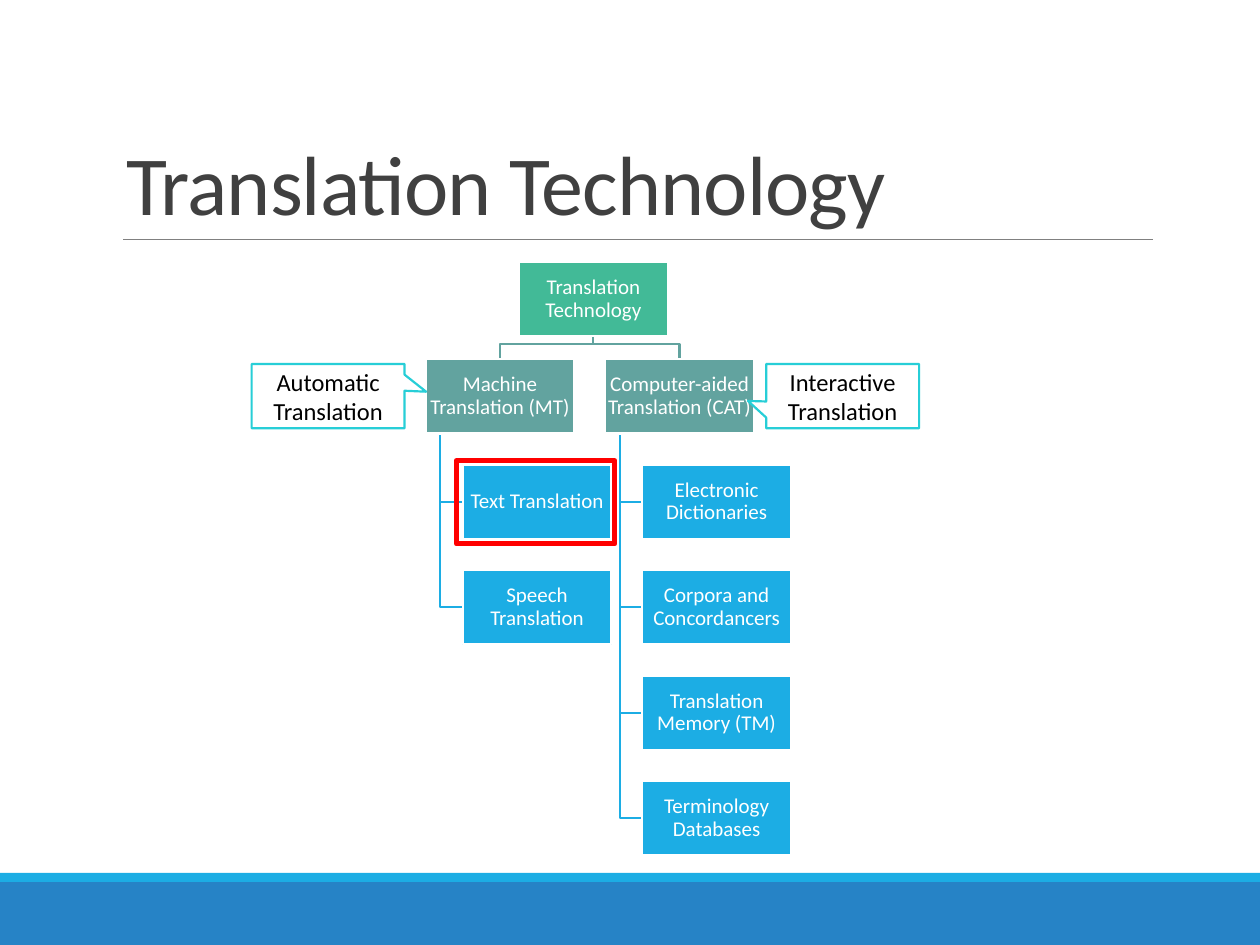
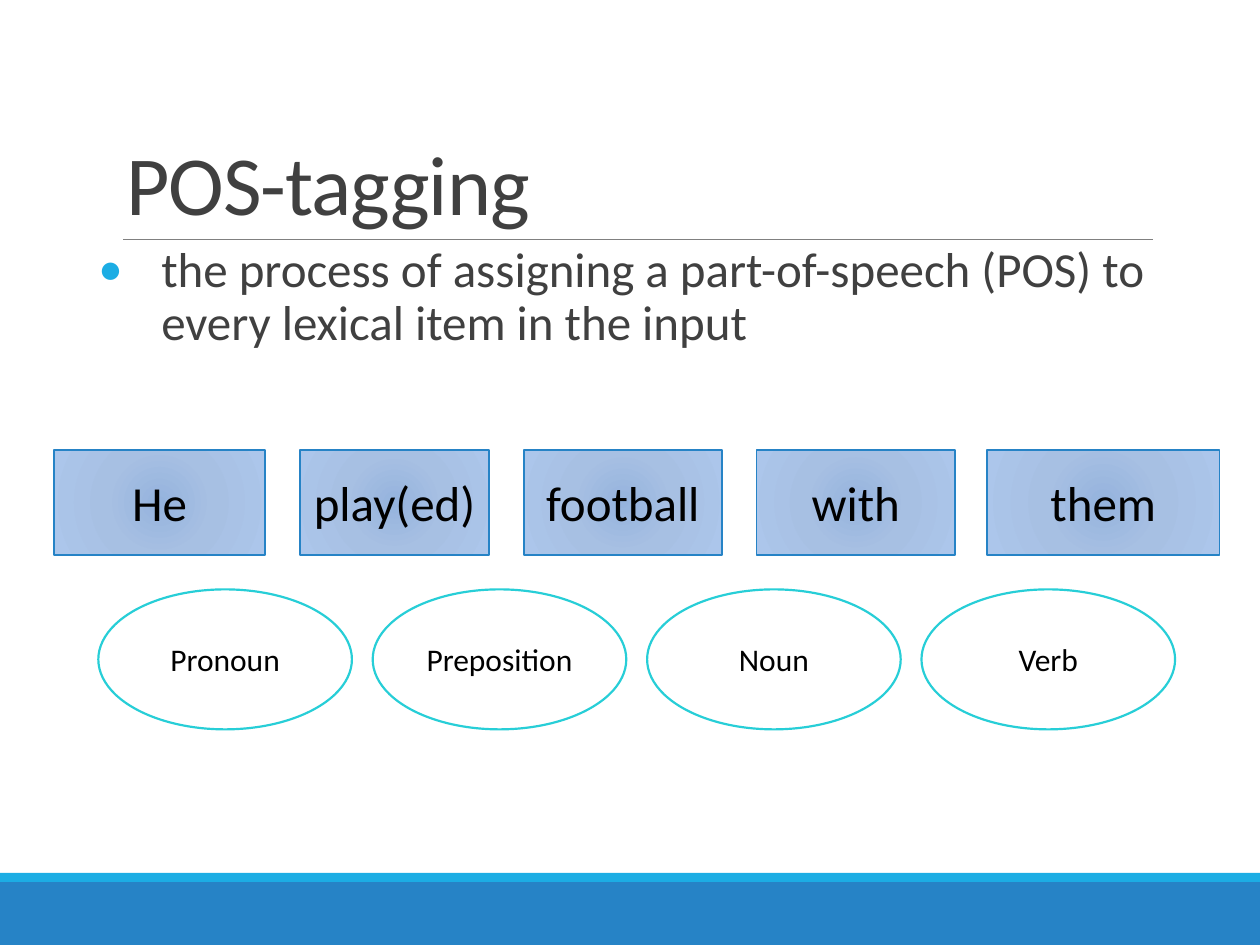
from lxml.etree import SubElement
from pptx import Presentation
from pptx.dml.color import RGBColor
from pptx.enum.shapes import MSO_CONNECTOR as Connector, MSO_SHAPE as Preset
from pptx.enum.text import MSO_ANCHOR as Anchor, MSO_AUTO_SIZE as AutoSize, PP_ALIGN as Align
from pptx.oxml import parse_xml
from pptx.oxml.ns import nsdecls, qn
from pptx.util import Pt

WHITE = RGBColor(0xFF, 0xFF, 0xFF)
BLACK = RGBColor(0x00, 0x00, 0x00)
DARK = RGBColor(0x40, 0x40, 0x40)
GRAY = RGBColor(0x80, 0x80, 0x80)
BLUE = RGBColor(0x26, 0x83, 0xC6)
SKY = RGBColor(0x1C, 0xAD, 0xE4)
CYAN = RGBColor(0x27, 0xCE, 0xD7)
GREEN = RGBColor(0x42, 0xBA, 0x97)
TEAL = RGBColor(0x62, 0xA3, 0x9F)
RED = RGBColor(0xFF, 0x00, 0x00)
WORD_GRADIENT = (
    (0, RGBColor(0x95, 0xB3, 0xDD)),
    (45, RGBColor(0xA7, 0xC0, 0xE3)),
    (100, RGBColor(0xAC, 0xC6, 0xEB)),
)

FONT = "Calibri"
SLIDE_WIDTH, SLIDE_HEIGHT = 720, 540
TITLE_ONLY = 5

NODE_WIDTH, NODE_HEIGHT = 85, 42.4
ROOT_LEFT, ROOT_TOP = 296.6, 149.8
BRANCH_TOP, ROW_PITCH = 205.3, 60.25
LEAF_INDENT, TRUNK_INDENT = 21.2, 8.4
BRANCHES = (
    (243.2, "Machine Translation (MT)", ("Text Translation", "Speech Translation")),
    (345.8, "Computer-aided Translation (CAT)",
     ("Electronic Dictionaries", "Corpora and Concordancers",
      "Translation Memory (TM)", "Terminology Databases")),
)
CALLOUTS = (
    (143.8, "Automatic Translation", (0.641, -0.069)),
    (437.8, "Interactive Translation", (-0.619, 0.076)),
)
WORDS = (
    ("He", 30.8, 120.6),
    ("play(ed)", 171.3, 108.2),
    ("football", 299.3, 113.2),
    ("with", 432.3, 113.4),
    ("them", 564, 132.8),
)
TAGS = ("Pronoun", "Preposition", "Noun", "Verb")
TAG_LEFT, TAG_PITCH = 56.2, 156.8


def style_text(frame, text, size, color, align=Align.CENTER, spacing=None):
    """Write one paragraph into a frame and format it."""
    frame.text = text
    frame.word_wrap = True
    para = frame.paragraphs[0]
    para.alignment = align
    para.line_spacing = spacing
    font = para.runs[0].font
    font.name, font.size, font.color.rgb = FONT, Pt(size), color
    return para


def add_box(page, preset, left, top, width, height, fill=None, line=None, weight=1.25):
    """Add a preset shape with a flat fill and outline and no shadow."""
    box = page.shapes.add_shape(preset, Pt(left), Pt(top), Pt(width), Pt(height))
    box.shadow.inherit = False
    if fill is None:
        box.fill.background()
    else:
        box.fill.solid()
        box.fill.fore_color.rgb = fill
    if line is None:
        box.line.fill.background()
    else:
        box.line.color.rgb = line
        box.line.width = Pt(weight)
    return box


def label(box, text, size, color=BLACK):
    """Centre a text in a shape."""
    box.text_frame.vertical_anchor = Anchor.MIDDLE
    return style_text(box.text_frame, text, size, color)


def add_page(deck, title_text):
    """Add a slide with the shared title, rule and bottom bands."""
    page = deck.slides.add_slide(deck.slide_layouts[TITLE_ONLY])
    add_box(page, Preset.RECTANGLE, 0, 504, SLIDE_WIDTH, 36, BLUE)
    add_box(page, Preset.RECTANGLE, 0, 498.8, SLIDE_WIDTH, 5.2, SKY)
    rule = page.shapes.add_connector(
        Connector.STRAIGHT, Pt(70.4), Pt(136.8), Pt(658.8), Pt(136.8))
    rule.line.color.rgb = GRAY
    rule.line.width = Pt(0.5)
    SubElement(rule._element.spPr, qn("a:effectLst"))

    title = page.shapes.title
    title.left, title.top, title.width, title.height = Pt(64.8), Pt(22.3), Pt(594), Pt(114.5)
    title.text_frame.auto_size = AutoSize.NONE
    title.text_frame.vertical_anchor = Anchor.BOTTOM
    para = style_text(title.text_frame, title_text, 48, DARK, Align.LEFT, 0.85)
    para.runs[0]._r.get_or_add_rPr().set("spc", "-50")
    return page


def add_branch_line(page, points, color):
    """Draw an open angled line through the points."""
    corners = [(Pt(x), Pt(y)) for x, y in points]
    builder = page.shapes.build_freeform(*corners[0])
    builder.add_line_segments(corners[1:], close=False)
    line = builder.convert_to_shape()
    line.shadow.inherit = False
    line.fill.background()
    line.line.color.rgb = color
    line.line.width = Pt(1.25)


def add_node(page, left, top, text, fill):
    """Add one box of the tree."""
    node = add_box(page, Preset.RECTANGLE, left, top, NODE_WIDTH, NODE_HEIGHT, fill, WHITE)
    frame = node.text_frame
    frame.margin_left = frame.margin_right = frame.margin_top = frame.margin_bottom = Pt(0.7)
    label(node, text, 12, WHITE).line_spacing = 0.9


def add_tree(page):
    """Draw the tree: its lines first, then its boxes."""
    root_middle, root_bottom = ROOT_LEFT + NODE_WIDTH / 2, ROOT_TOP + NODE_HEIGHT
    fork_top = BRANCH_TOP - 8.6
    nodes = [(ROOT_LEFT, ROOT_TOP, "Translation Technology", GREEN)]
    for left, name, leaves in BRANCHES:
        middle, trunk = left + NODE_WIDTH / 2, left + TRUNK_INDENT
        add_branch_line(page, ((root_middle, root_bottom), (root_middle, fork_top),
                               (middle, fork_top), (middle, BRANCH_TOP)), TEAL)
        nodes.append((left, BRANCH_TOP, name, TEAL))
        for row, leaf in enumerate(leaves, 1):
            top = BRANCH_TOP + row * ROW_PITCH
            leaf_left, leaf_middle = left + LEAF_INDENT, top + NODE_HEIGHT / 2
            add_branch_line(page, ((trunk, BRANCH_TOP + NODE_HEIGHT), (trunk, leaf_middle),
                                   (leaf_left, leaf_middle)), SKY)
            nodes.append((leaf_left, top, leaf, SKY))
    for node in nodes:
        add_node(page, *node)


def add_callout(page, left, text, tip):
    """Add a speech callout whose tip points at a branch."""
    callout = add_box(page, Preset.RECTANGULAR_CALLOUT, left, 208, 87.4, 36.7, WHITE, CYAN)
    callout.adjustments[0], callout.adjustments[1] = tip
    label(callout, text, 14)


def add_bullet(page, text):
    """Add the bulleted definition below the title."""
    box = page.shapes.add_textbox(Pt(56.2), Pt(136.8), Pt(602.6), Pt(316.8))
    frame = box.text_frame
    frame.margin_left = frame.margin_right = 0
    para = style_text(frame, text, 28, DARK, Align.LEFT, 0.9)
    para.space_after = Pt(2)
    properties = para._p.get_or_add_pPr()
    properties.set("marL", str(Pt(36)))
    properties.set("indent", str(-Pt(36)))
    color = SubElement(properties, qn("a:buClr"))
    SubElement(color, qn("a:srgbClr")).set("val", str(SKY))
    SubElement(properties, qn("a:buFont")).set("typeface", FONT)
    SubElement(properties, qn("a:buChar")).set("char", "•")


def fill_radial(box, stops):
    """Give a shape a circular gradient."""
    box.fill.gradient()
    properties = box._element.spPr
    marks = "".join(f'<a:gs pos="{place * 1000}"><a:srgbClr val="{color}"/></a:gs>'
                    for place, color in stops)
    properties.replace(properties.find(qn("a:gradFill")), parse_xml(
        f'<a:gradFill {nsdecls("a")} rotWithShape="1"><a:gsLst>{marks}</a:gsLst>'
        '<a:path path="circle"><a:fillToRect l="100000" t="100000" r="100000" b="100000"/>'
        '</a:path></a:gradFill>'))


def add_word(page, text, left, width):
    """Add one word of the example sentence."""
    box = add_box(page, Preset.RECTANGLE, left, 257, width, 60.2, line=BLUE, weight=1)
    fill_radial(box, WORD_GRADIENT)
    label(box, text, 28)


def build_technology_page(deck):
    """Build the tree of translation technologies."""
    page = add_page(deck, "Translation Technology")
    add_tree(page)
    add_box(page, Preset.RECTANGLE, 260.8, 263.3, 90.6, 47.5, line=RED, weight=3)
    for callout in CALLOUTS:
        add_callout(page, *callout)


def build_tagging_page(deck):
    """Build the part-of-speech tagging example."""
    page = add_page(deck, "POS-tagging")
    add_bullet(page, "the process of assigning a part-of-speech (POS) to "
                     "every lexical item in the input")
    for column, tag in enumerate(TAGS):
        ellipse = add_box(page, Preset.OVAL, TAG_LEFT + column * TAG_PITCH, 336.8,
                          144.9, 80, WHITE, CYAN)
        label(ellipse, tag, 18)
    for word in WORDS:
        add_word(page, *word)


def main():
    """Build the deck and save it."""
    deck = Presentation()
    deck.slide_width, deck.slide_height = Pt(SLIDE_WIDTH), Pt(SLIDE_HEIGHT)
    build_technology_page(deck)
    build_tagging_page(deck)
    deck.save("out.pptx")


if __name__ == "__main__":
    main()
